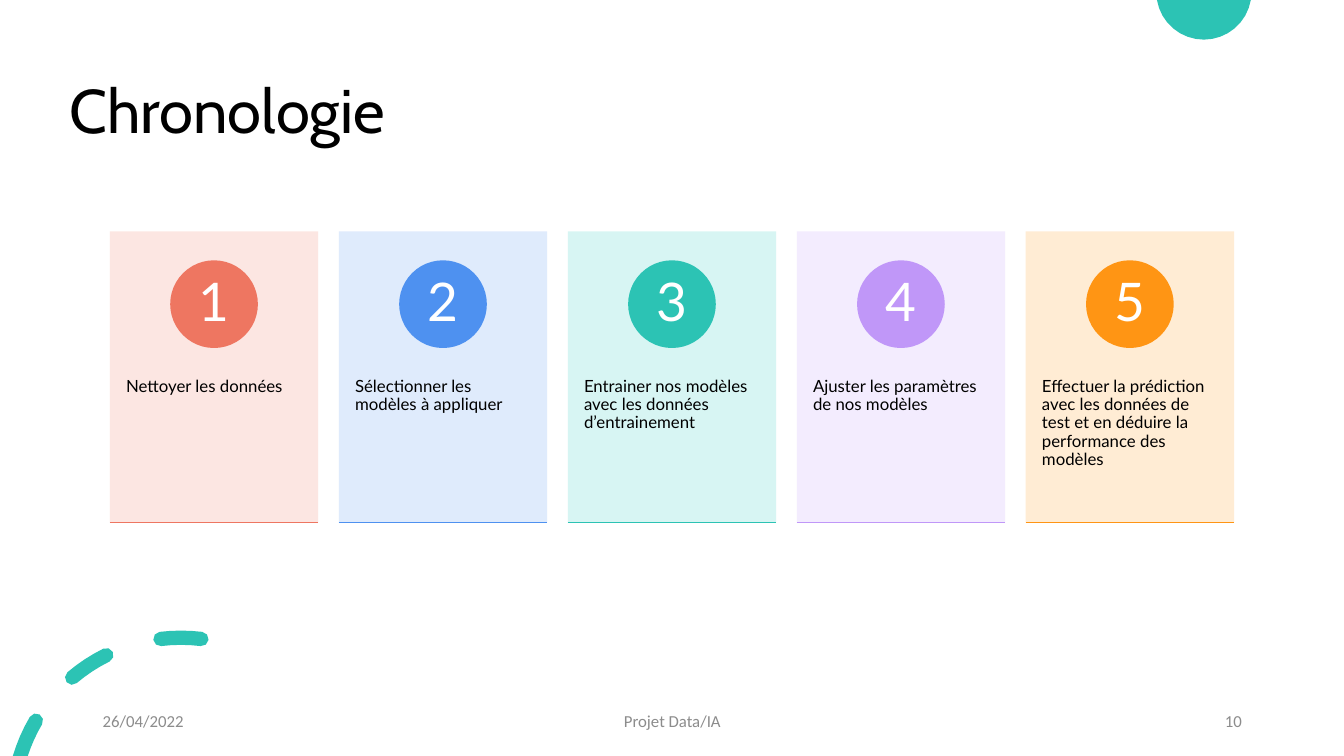
"""Build the "Chronologie" slide: five numbered steps on coloured cards."""
from dataclasses import dataclass
from math import cos, radians, sin

from lxml.etree import SubElement
from pptx import Presentation
from pptx.dml.color import RGBColor
from pptx.enum.shapes import MSO_CONNECTOR as Connector, MSO_SHAPE as Preset
from pptx.enum.text import MSO_ANCHOR as Anchor, PP_ALIGN as Align
from pptx.oxml.ns import qn
from pptx.util import Cm, Pt

TITLE = "Chronologie"
STEPS = [
    ("Nettoyer les données", "EE7661", "FCE4DF"),
    ("Sélectionner les modèles à appliquer", "4E91F0", "DCE9FC"),
    ("Entrainer nos modèles avec les données d’entrainement", "2CC3B4", "D3F5F2"),
    ("Ajuster les paramètres de nos modèles", "C097F8", "F2EAFE"),
    ("Effectuer la prédiction avec les données de test et en déduire "
     "la performance des modèles", "FF9514", "FFEAD0"),
]
FOOTERS = [
    ("26/04/2022", 2.34, 7.62, Align.LEFT),
    ("Projet Data/IA", 11.23, 11.43, Align.CENTER),
    ("10", 23.93, 7.62, Align.RIGHT),
]


@dataclass(frozen=True)
class Theme:
    """Colours, fonts and type sizes."""
    accent: str = "2CC3B4"
    ink: str = "000000"
    muted: str = "8C8C8C"
    white: str = "FFFFFF"
    title_font: str = "Cabin"
    body_font: str = "Lato"
    footer_font: str = "Calibri"
    title_size: int = 44
    number_size: int = 38
    body_size: int = 12
    card_opacity: int = 90


THEME = Theme()
SLIDE_WIDTH, SLIDE_HEIGHT = 33.87, 19.05
CARD_LEFT, CARD_TOP, CARD_WIDTH, CARD_HEIGHT = 2.77, 5.83, 5.25, 7.34
CARD_PITCH = 5.77
RULE_TOP = 13.16
DISC_TOP, DISC_SIZE = 6.56, 2.21
NUMBER_INSET = 0.33
BODY_TOP, BODY_HEIGHT = 8.62, 4.39
DISC_CENTRE, DISC_RADIUS, DISC_ANGLES = (30.34, -0.2), 1.2, (99.6, 260.4)
RING_CENTRE, RING_RADIUS, DASH_HALF = (4.56, 20.31), 4.24, 0.18
DASH_ANGLES = [(-73.4, -71.9, -59.5), (-40.3, -40.3, -26.3), (-7, -7, 7)]


def paint(shape, color=None):
    shape.shadow.inherit = False
    shape.line.fill.background()
    if color is None:
        shape.fill.background()
    else:
        shape.fill.solid()
        shape.fill.fore_color.rgb = RGBColor.from_string(color)
    return shape


def add_block(slide, preset, box, color=None, opacity=100):
    shape = paint(slide.shapes.add_shape(preset, *map(Cm, box)), color)
    if opacity < 100:
        color_element = next(shape.fill._xPr.iter(qn("a:srgbClr")))
        SubElement(color_element, qn("a:alpha"), val=str(opacity * 1000))
    return shape


def write(shape, text, *, font, size, color, align=Align.LEFT,
          anchor=Anchor.MIDDLE, insets=(0.25, 0.13), spacing=1.0):
    frame = shape.text_frame
    frame.word_wrap = True
    frame.vertical_anchor = anchor
    frame.margin_left = frame.margin_right = Cm(insets[0])
    frame.margin_top = frame.margin_bottom = Cm(insets[1])
    paragraph = frame.paragraphs[0]
    paragraph.alignment = align
    paragraph.line_spacing = spacing
    run = paragraph.add_run()
    run.text = text
    run.font.name = font
    run.font.size = Pt(size)
    run.font.color.rgb = RGBColor.from_string(color)


def add_text(slide, text, box, **text_format):
    write(slide.shapes.add_textbox(*map(Cm, box)), text, **text_format)


def add_rule(slide, left, top, width, color):
    rule = slide.shapes.add_connector(
        Connector.STRAIGHT, Cm(left), Cm(top), Cm(left + width), Cm(top))
    rule.line.color.rgb = RGBColor.from_string(color)
    rule.line.width = Pt(1)
    SubElement(rule._element.spPr, qn("a:effectLst"))


def arc(centre, radius, start, end, steps=4):
    """Return points on an arc; angles run clockwise from the top."""
    angles = [radians(start + (end - start) * i / steps) for i in range(steps + 1)]
    return [(centre[0] + radius * sin(a), centre[1] - radius * cos(a)) for a in angles]


def dash(outer_start, inner_start, end):
    """Return the outline of a thick arc, cut flat where its two starts differ."""
    first, last = arc(RING_CENTRE, RING_RADIUS, outer_start, end, 1)
    outline = (arc(RING_CENTRE, RING_RADIUS + DASH_HALF, outer_start, end)
               + arc(last, DASH_HALF, end, end + 180)[1:-1]
               + arc(RING_CENTRE, RING_RADIUS - DASH_HALF, end, inner_start))
    if outer_start == inner_start:
        outline += arc(first, DASH_HALF, outer_start + 180, outer_start + 360)[1:-1]
    return outline


def add_outline(slide, contours, color):
    builder = None
    for contour in contours:
        points = [(Cm(x), Cm(y)) for x, y in contour]
        if builder is None:
            builder = slide.shapes.build_freeform(*points[0])
        else:
            builder.move_to(*points[0])
        builder.add_line_segments(points[1:], close=True)
    paint(builder.convert_to_shape(), color)


def add_step(slide, index, text, strong, pale):
    left = CARD_LEFT + index * CARD_PITCH
    disc_left = left + (CARD_WIDTH - DISC_SIZE) / 2
    number_size = DISC_SIZE - 2 * NUMBER_INSET
    add_block(slide, Preset.RECTANGLE, (left, CARD_TOP, CARD_WIDTH, CARD_HEIGHT),
              pale, THEME.card_opacity)
    body = add_block(slide, Preset.RECTANGLE, (left, BODY_TOP, CARD_WIDTH, BODY_HEIGHT))
    write(body, text, font=THEME.body_font, size=THEME.body_size, color=THEME.ink,
          anchor=Anchor.TOP, insets=(0.41, 0.91), spacing=0.9)
    add_block(slide, Preset.OVAL, (disc_left, DISC_TOP, DISC_SIZE, DISC_SIZE), strong)
    add_text(slide, str(index + 1),
             (disc_left + NUMBER_INSET, DISC_TOP + NUMBER_INSET, number_size, number_size),
             font=THEME.body_font, size=THEME.number_size, color=THEME.white,
             align=Align.CENTER, insets=(0.18, 0.03), spacing=0.9)
    add_rule(slide, left, RULE_TOP, CARD_WIDTH, strong)


def main():
    presentation = Presentation()
    presentation.slide_width = Cm(SLIDE_WIDTH)
    presentation.slide_height = Cm(SLIDE_HEIGHT)
    slide = presentation.slides.add_slide(presentation.slide_layouts[6])

    add_outline(slide, [arc(DISC_CENTRE, DISC_RADIUS, *DISC_ANGLES, steps=16)], THEME.accent)
    add_outline(slide, [dash(*angles) for angles in DASH_ANGLES], THEME.accent)
    add_text(slide, TITLE, (1.5, 1.02, 29.21, 3.68), font=THEME.title_font,
             size=THEME.title_size, color=THEME.ink, spacing=0.9)
    for index, step in enumerate(STEPS):
        add_step(slide, index, *step)
    for text, left, width, align in FOOTERS:
        add_text(slide, text, (left, 17.65, width, 1.02), font=THEME.footer_font,
                 size=THEME.body_size, color=THEME.muted, align=align)
    presentation.save("out.pptx")


if __name__ == "__main__":
    main()
